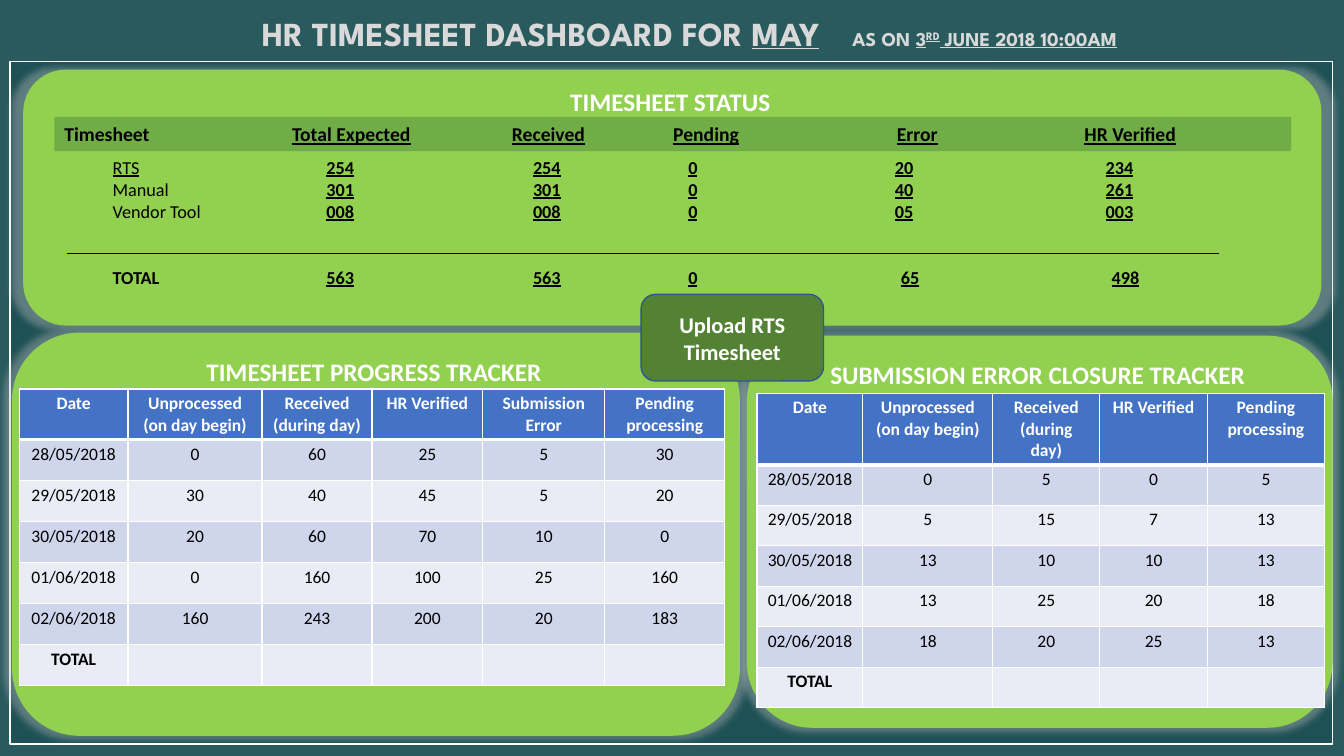
from pptx import Presentation
from pptx.dml.color import RGBColor
from pptx.enum.shapes import MSO_CONNECTOR, MSO_SHAPE
from pptx.enum.text import MSO_ANCHOR, PP_ALIGN
from pptx.oxml import parse_xml
from pptx.oxml.ns import nsdecls
from pptx.util import Inches, Pt

RECT, ROUNDED = MSO_SHAPE.RECTANGLE, MSO_SHAPE.ROUNDED_RECTANGLE
STRAIGHT = MSO_CONNECTOR.STRAIGHT
TOP, MIDDLE = MSO_ANCHOR.TOP, MSO_ANCHOR.MIDDLE
LEFT, CENTER = PP_ALIGN.LEFT, PP_ALIGN.CENTER

BACKDROP = RGBColor(0x29, 0x5A, 0x5D)
TEAL = RGBColor(0x1E, 0x51, 0x55)
LIME = RGBColor(0x92, 0xD0, 0x50)
GREEN = RGBColor(0x70, 0xAD, 0x47)
DARK_GREEN = RGBColor(0x54, 0x82, 0x35)
NAVY = RGBColor(0x32, 0x54, 0x91)
BLUE = RGBColor(0x44, 0x72, 0xC4)
BANDS = RGBColor(0xCF, 0xD5, 0xEA), RGBColor(0xE9, 0xEB, 0xF5)
GREY = RGBColor(0xD9, 0xD9, 0xD9)
WHITE = RGBColor(0xFF, 0xFF, 0xFF)
BLACK = RGBColor(0, 0, 0)

GLOW = (f'<a:effectLst {nsdecls("a")}><a:outerShdw blurRad="63500" sx="102000" '
        'sy="102000" algn="ctr" rotWithShape="0"><a:srgbClr val="BFBFBF">'
        '<a:alpha val="40000"/></a:srgbClr></a:outerShdw></a:effectLst>')
HEADER_EDGE = (f'<a:lnB {nsdecls("a")} w="{Pt(3)}"><a:solidFill>'
               f'<a:srgbClr val="{WHITE}"/></a:solidFill></a:lnB>')


def grid(*cells):
    """Turn grid columns and rows, ten to the inch, into lengths."""
    return [Inches(cell / 10) for cell in cells]


class Dashboard:
    body_font, title_font = "Calibri", "League Spartan"

    def __init__(self, slide):
        self.slide = slide
        self.shapes = slide.shapes
        slide.background.fill.solid()
        slide.background.fill.fore_color.rgb = BACKDROP

    def style(self, run, size, color, bold=True, underline=False, font=None):
        run.font.name = font or self.body_font
        run.font.size = Pt(size)
        run.font.bold = bold
        run.font.underline = underline
        run.font.color.rgb = color

    def box(self, kind, at, fill, line=None, width=1):
        shape = self.shapes.add_shape(kind, *grid(*at))
        shape.shadow.inherit = False
        shape.fill.solid()
        shape.fill.fore_color.rgb = fill
        if line is None:
            shape.line.fill.background()
        else:
            shape.line.color.rgb = line
            shape.line.width = Pt(width)
        return shape

    def label(self, shape, text, size, anchor):
        frame = shape.text_frame
        frame.word_wrap = True
        frame.vertical_anchor = anchor
        frame.text = text
        frame.paragraphs[0].alignment = CENTER
        self.style(frame.paragraphs[0].runs[0], size, WHITE)

    def panel(self, at, heading):
        shape = self.box(ROUNDED, at, LIME)
        effects = shape.element.spPr.find("{*}effectLst")
        effects.getparent().replace(effects, parse_xml(GLOW))
        frame = shape.text_frame
        frame.margin_left = 0
        frame.margin_top = frame.margin_right = frame.margin_bottom = Inches(0.04)
        self.label(shape, heading, 18, TOP)

    def text_box(self, at):
        frame = self.shapes.add_textbox(*grid(*at)).text_frame
        frame.word_wrap = True
        return frame

    def tabbed(self, paragraph, cells, tabs, size, bold_label, underline_label):
        """Write a row of cells, each on its own tab stop."""
        paragraph.alignment = LEFT
        stops = "".join(f'<a:tab pos="{pos}" algn="l"/>' for pos in grid(*tabs))
        paragraph._p.get_or_add_pPr().append(
            parse_xml(f'<a:tabLst {nsdecls("a")}>{stops}</a:tabLst>'))
        indented = len(tabs) == len(cells)
        for column, cell in enumerate(cells):
            if column or indented:
                gap = paragraph.add_run()
                gap.text = "\t"
                self.style(gap, size, BLACK)
            run = paragraph.add_run()
            run.text = cell
            self.style(run, size, BLACK, bool(column) or bold_label,
                       bool(column) or underline_label)

    def rule(self, left, right, row):
        line = self.shapes.add_connector(STRAIGHT, *grid(left, row, right, row))
        line.line.color.rgb = BLACK
        line.line.width = Pt(0.7)
        line.element.spPr.append(parse_xml(f'<a:effectLst {nsdecls("a")}/>'))

    def tracker(self, at, widths, heights, rows):
        table = self.shapes.add_table(len(rows), len(widths), *grid(*at)).table
        for column, width in zip(table.columns, grid(*widths)):
            column.width = width
        for r, (row, height) in enumerate(zip(table.rows, grid(*heights))):
            row.height = height
            for cell, value in zip(row.cells, rows[r]):
                cell.margin_top = cell.margin_bottom = Inches(0.04)
                if r == 0:
                    cell._tc.get_or_add_tcPr().append(parse_xml(HEADER_EDGE))
                cell.fill.solid()
                cell.fill.fore_color.rgb = BANDS[(r - 1) % 2] if r else BLUE
                cell.text_frame.text = value
                for paragraph in cell.text_frame.paragraphs:
                    paragraph.alignment = CENTER
                    for run in paragraph.runs:
                        self.style(run, 12.5, BLACK if r else WHITE,
                                   r in (0, len(rows) - 1))


presentation = Presentation()
presentation.slide_width, presentation.slide_height = grid(133.33, 75)
board = Dashboard(presentation.slides.add_slide(presentation.slide_layouts[6]))

# Title
title = board.text_box((10, 1.2, 116.8, 4.2)).paragraphs[0]
title.alignment = CENTER
title.line_spacing = 0.9
title.space_before = Pt(10)
for text, size, underline in (("HR TIMESHEET DASHBOARD FOR ", 24, False),
                              ("MAY", 24, True), (" ", 24, False),
                              ("AS ON ", 14, False), ("3", 14, True),
                              ("RD", 14, True), (" JUNE 2018 10:00AM", 14, True)):
    run = title.add_run()
    run.text = text
    board.style(run, size, GREY, True, underline, board.title_font)
    if text == " ":
        run.font._element.set("spc", "1700")
    elif text == "RD":
        run.font._element.set("baseline", "30000")

# Frame and panels on the left and top
board.box(RECT, (1, 6.1, 131.2, 67.7), TEAL, WHITE, 1.25)
board.panel((1.2, 33, 72.2, 40), "TIMESHEET PROGRESS TRACKER")
board.panel((2.3, 6.9, 128.8, 25.4), "TIMESHEET STATUS")

# Timesheet status
HEADER_TABS = (22.6, 44.4, 60.4, 82.6, 101.2)
STATUS_TABS = (4.8, 26, 46.5, 61.9, 82.4, 103.3)
TOTAL_TABS = STATUS_TABS[:4] + (83, 103.9)
header = board.box(RECT, (5.4, 11.6, 122.7, 3.4), GREEN).text_frame
header.word_wrap = True
header.vertical_anchor = MIDDLE
board.tabbed(header.paragraphs[0],
             ("Timesheet", "Total Expected", "Received", "Pending", "Error",
              "HR Verified"), HEADER_TABS, 14, True, False)
status = board.text_box((5.4, 15, 114.4, 14.1))
status_rows = (("RTS", "254", "254", "0", "20", "234"),
               ("Manual", "301", "301", "0", "40", "261"),
               ("Vendor Tool", "008", "008", "0", "05", "003"),
               ("TOTAL", "563", "563", "0", "65", "498"))
for index, cells in enumerate(status_rows):
    paragraph = status.paragraphs[0] if index == 0 else status.add_paragraph()
    is_total = cells[0] == "TOTAL"
    if is_total:
        paragraph.space_before = Pt(31.7)
    board.tabbed(paragraph, cells, TOTAL_TABS if is_total else STATUS_TABS, 13,
                 is_total, cells[0] == "RTS")
board.rule(6.6, 120.9, 25.2)

# Trackers
DATES = ("28/05/2018", "29/05/2018", "30/05/2018", "01/06/2018", "02/06/2018")
SHARED = ("Date", "Unprocessed\n(on day begin)", "Received\n(during day)",
          "HR Verified")
PENDING = "Pending processing"
progress = ((0, 60, 25, 5, 30), (30, 40, 45, 5, 20), (20, 60, 70, 10, 0),
            (0, 160, 100, 25, 160), (160, 243, 200, 20, 183))
closure = ((0, 5, 0, 5), (5, 15, 7, 13), (13, 10, 10, 13), (13, 25, 20, 18),
           (18, 20, 25, 13))


def tracker_rows(headings, counts):
    days = [(date, *map(str, day)) for date, day in zip(DATES, counts)]
    return [headings, *days, ("TOTAL",) + ("",) * (len(headings) - 1)]


board.tracker((1.9, 38.6, 70, 29.5), (10.8, 13.3, 10.9, 11, 12.1, 11.9),
              [5] + [4.07] * 6,
              tracker_rows(SHARED + ("Submission Error", PENDING), progress))
board.panel((74.1, 33.3, 58.1, 38.9), "SUBMISSION ERROR CLOSURE TRACKER")
board.tracker((75.1, 39, 56.3, 31.3), (10.5, 12.9, 10.6, 10.7, 11.6),
              [7.1] + [4.02] * 6, tracker_rows(SHARED + (PENDING,), closure))

# Upload button
upload = board.box(ROUNDED, (63.6, 29.2, 18.1, 8.6), DARK_GREEN, NAVY)
board.label(upload, "Upload RTS Timesheet", 16, MIDDLE)

presentation.save("out.pptx")
